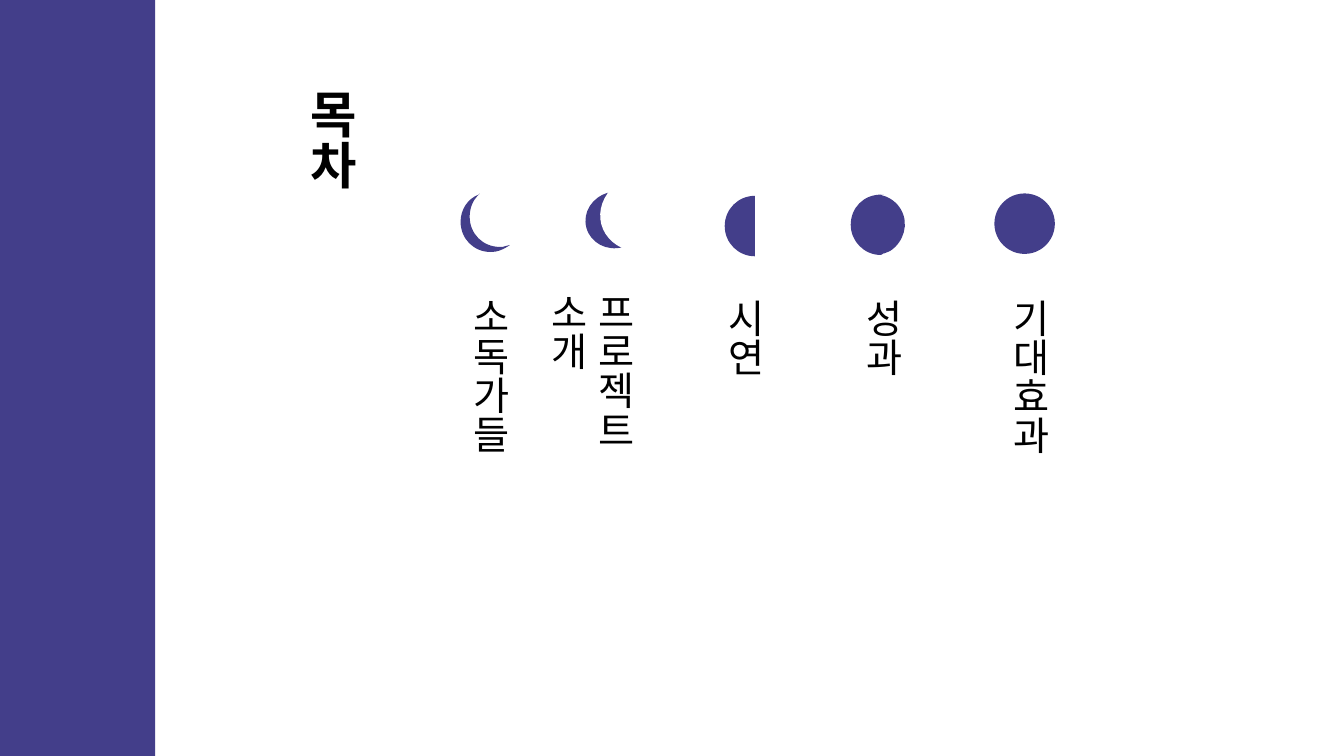
from pptx import Presentation
from pptx.dml.color import RGBColor
from pptx.enum.shapes import MSO_SHAPE
from pptx.enum.text import MSO_AUTO_SIZE
from pptx.oxml.ns import qn
from pptx.util import Pt
from lxml import etree

RECTANGLE, OVAL = MSO_SHAPE.RECTANGLE, MSO_SHAPE.OVAL
FIT_SHAPE = MSO_AUTO_SIZE.SHAPE_TO_FIT_TEXT
FONT = "Noto Sans CJK KR"
COLORS = {"indigo": "433E8A", "white": "FFFFFF", "text": "000000"}

deck = Presentation()
deck.slide_width, deck.slide_height = Pt(960), Pt(540)
page = deck.slides.add_slide(deck.slide_layouts[6])


def paint(shape, color):
    shape.fill.solid()
    shape.fill.fore_color.rgb = RGBColor.from_string(COLORS[color])
    shape.line.fill.background()
    shape.shadow.inherit = False


def add_vertical_text(shapes, text, frame, size, bold=False):
    """Add a text box whose characters run from top to bottom."""
    box = shapes.add_textbox(*map(Pt, frame))
    text_frame = box.text_frame
    text_frame.text = text
    text_frame.word_wrap = True
    text_frame.auto_size = FIT_SHAPE
    text_frame._txBody.bodyPr.set("vert", "eaVert")
    span = text_frame.paragraphs[0].runs[0]
    span.font.size = Pt(size)
    span.font.bold = bold
    span.font.name = FONT
    span.font.color.rgb = RGBColor.from_string(COLORS["text"])
    etree.SubElement(span.font._element, qn("a:ea"), typeface=FONT)


paint(page.shapes.add_shape(RECTANGLE, 0, 0, Pt(110.9), Pt(540)), "indigo")
add_vertical_text(page.shapes, "목차", (203.8, 56.9, 58.3, 133.2), 36, True)

# Outlines are relative to the moon's frame: two numbers make a line, six a curve
thin_crescent = [
    (13.7, 0), (12.3, 1.5),
    (8.7, 5.1, 6.5, 10.8, 6.5, 16.6),
    (6.5, 28.8, 15.9, 38.2, 28.1, 38.2),
    (29.6, 38.2, 31, 38.2, 32.4, 37.5),
    (35.3, 36.8), (33.2, 38.2),
    (29.6, 40.4, 26, 41.8, 21.6, 41.8),
    (9.4, 41.8, 0, 32.4, 0, 20.2),
    (0, 11.6, 5.1, 3.6, 13, 0.8)]
gibbous = [
    (32, 3.1), (33.8, 4.1), (31.4, 2.7), (32.9, 4.4),
    (36.6, 8.2, 39.1, 13.8, 39, 19.7),
    (38.9, 31.2, 29.3, 40.6, 17.4, 41.2),
    (15.7, 41, 14.5, 40.8, 12.9, 40.6),
    (10.1, 39.4), (11.9, 40.4), (10.3, 40.4),
    (-0.3, 34.2, -3.3, 20.8, 2.5, 10.9),
    (8.7, 0.3, 21.4, -3.1, 32, 3.1)]


def half_ellipse(width, height):
    return [(width, 0), (width, height),
            (0.45 * width, height, 0, 0.78 * height, 0, 0.5 * height),
            (0, 0.22 * height, 0.45 * width, 0, width, 0)]


# Label, text frame, moon frame, moon rotation, outline
chapters = [
    ("소독가들", (322.3, 205.4, 48.2, 195.8),
     (329, 138.2, 35.3, 41.8), 0, thin_crescent),
    ("프로젝트 소개", (411.6, 202.3, 48.2, 184.3),
     (418.5, 139.7, 21.6, 40.3), 345.2, half_ellipse(21.6, 40.3)),
    ("시연", (504.5, 206.6, 48.2, 238.3),
     (517.7, 139.9, 21.6, 43.2), 0, half_ellipse(21.6, 43.2)),
    ("성과", (603.1, 206.6, 48.2, 226.8),
     (607.7, 139.7, 39.6, 41), 329.8, gibbous),
    ("기대효과", (707.8, 206.4, 48.2, 226.8),
     (710.3, 138.2, 43.2, 43.2), 0, None),
]

for label, text_box, moon_frame, rotation, outline in chapters:
    shapes = page.shapes.add_group_shape().shapes
    add_vertical_text(shapes, label, text_box, 28)
    left, top, width, height = map(Pt, moon_frame)
    if outline is None:
        paint(shapes.add_shape(OVAL, left, top, width, height), "indigo")
        continue

    anchors = [(left + Pt(part[-2]), top + Pt(part[-1])) for part in outline]
    builder = shapes.build_freeform(*anchors[0])
    builder.add_line_segments(anchors[1:], close=True)
    moon = builder.convert_to_shape()
    moon.left, moon.top, moon.width, moon.height = left, top, width, height
    moon.rotation = rotation
    paint(moon, "indigo")

    # Turn the straight segments into Bézier curves where the outline bends
    track = next(moon._element.iter(qn("a:path")))
    track.set("w", str(width))
    track.set("h", str(height))
    for segment, part in zip(list(track), outline):
        for point in list(segment):
            segment.remove(point)
        if len(part) == 6:
            curve = etree.Element(qn("a:cubicBezTo"))
            track.replace(segment, curve)
            segment = curve
        for x, y in zip(part[::2], part[1::2]):
            etree.SubElement(segment, qn("a:pt"), x=str(Pt(x)), y=str(Pt(y)))

    if label == "프로젝트 소개":
        moon_cover = shapes.add_shape(OVAL, Pt(428.4), Pt(123.1), Pt(67.7), Pt(56.9))
        moon_cover.rotation = rotation
        paint(moon_cover, "white")

deck.save("out.pptx")
